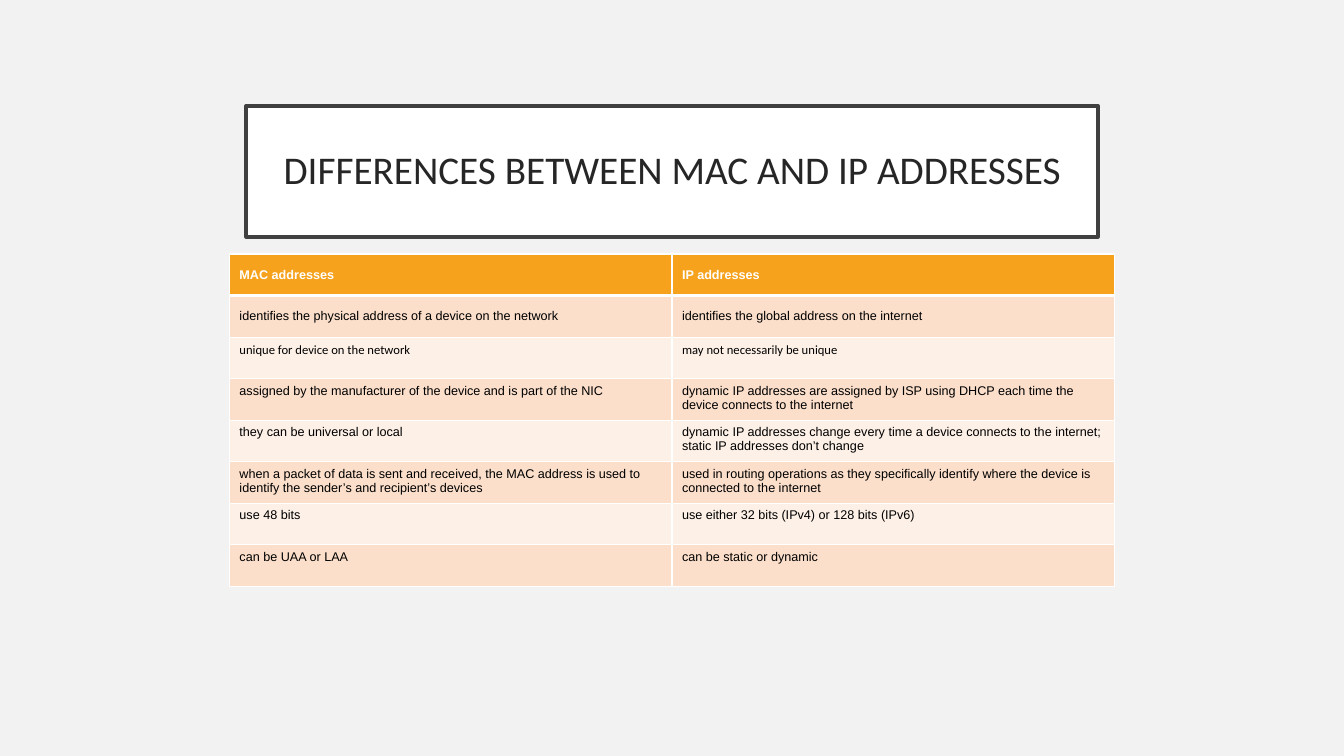
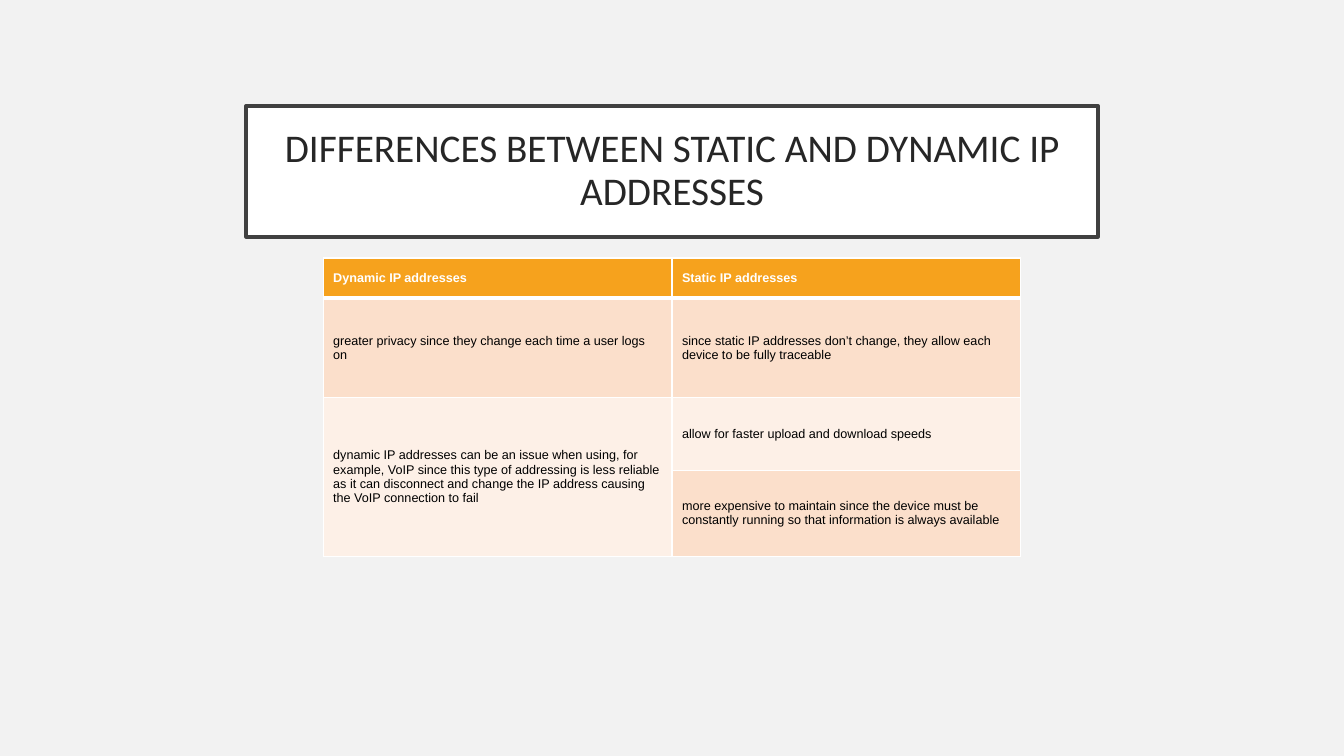
from dataclasses import dataclass

from lxml.etree import SubElement
from pptx import Presentation
from pptx.dml.color import RGBColor
from pptx.enum.text import MSO_ANCHOR, MSO_AUTO_SIZE, PP_ALIGN
from pptx.oxml.ns import qn
from pptx.util import Inches, Pt


@dataclass(frozen=True)
class Theme:
    width: float = 13.33
    height: float = 7.5
    background: str = "F2F2F2"
    white: str = "FFFFFF"
    frame: str = "404040"
    title_ink: str = "262626"
    body_ink: str = "000000"
    header: str = "F6A21D"
    bands: tuple = ("FBDFCB", "FDF0E7")
    title_font: str = "Calibri"
    body_font: str = "Arial"
    title_size: float = 28
    body_size: float = 9
    thin: float = 1
    thick: float = 3


THEME = Theme()

MAC_AND_IP = [
    ("MAC addresses", "IP addresses"),
    ("identifies the physical address of a device on the network",
     "identifies the global address on the internet"),
    ("unique for device on the network", "may not necessarily be unique"),
    ("assigned by the manufacturer of the device and is part of the NIC",
     "dynamic IP addresses are assigned by ISP using DHCP each time the "
     "device connects to the internet"),
    ("they can be universal or local",
     "dynamic IP addresses change every time a device connects to the internet; "
     "static IP addresses don’t change"),
    ("when a packet of data is sent and received, the MAC address is used to "
     "identify the sender’s and recipient’s devices",
     "used in routing operations as they specifically identify where the device is "
     "connected to the internet"),
    ("use 48 bits", "use either 32 bits (IPv4) or 128 bits (IPv6)"),
    ("can be UAA or LAA", "can be static or dynamic"),
]

# None continues the cell above it.
DYNAMIC_AND_STATIC = [
    ("Dynamic IP addresses", "Static IP addresses"),
    ("greater privacy since they change each time a user logs on",
     "since static IP addresses don’t change, they allow each device to be fully traceable"),
    ("dynamic IP addresses can be an issue when using, for example, VoIP since this "
     "type of addressing is less reliable as it can disconnect and change the IP "
     "address causing the VoIP connection to fail",
     "allow for faster upload and download speeds"),
    (None,
     "more expensive to maintain since the device must be constantly running so that "
     "information is always available"),
]


def rgb(color):
    return RGBColor.from_string(color)


def add_run(p, text, font, size, color, bold=False):
    r = p.add_run()
    r.text = text
    r.font.name = font
    r.font.size = Pt(size)
    r.font.bold = bold
    r.font.color.rgb = rgb(color)


def add_titled_slide(prs, title):
    s = prs.slides.add_slide(prs.slide_layouts.get_by_name("Title Only"))
    sp = s.shapes.title
    width = 8.45
    sp.left, sp.top = Inches((THEME.width - width) / 2), Inches(1.05)
    sp.width, sp.height = Inches(width), Inches(1.3)
    sp.fill.solid()
    sp.fill.fore_color.rgb = rgb(THEME.white)
    sp.line.color.rgb = rgb(THEME.frame)
    sp.line.width = Pt(2.5)
    tf = sp.text_frame
    tf.word_wrap = True
    tf.auto_size = MSO_AUTO_SIZE.NONE
    tf.vertical_anchor = MSO_ANCHOR.MIDDLE
    tf.margin_left = tf.margin_right = tf.margin_top = tf.margin_bottom = Inches(0.2)
    p = tf.paragraphs[0]
    p.alignment = PP_ALIGN.CENTER
    p.line_spacing = 0.9
    add_run(p, title, THEME.title_font, THEME.title_size, THEME.title_ink)
    return s


def set_borders(cell, row):
    """White rules, with a thicker one between the header and the body."""
    top = THEME.thick if row == 1 else THEME.thin
    bottom = THEME.thick if row == 0 else THEME.thin
    tc_pr = cell._tc.get_or_add_tcPr()
    for side, width in zip("LRTB", (THEME.thin, THEME.thin, top, bottom)):
        ln = SubElement(tc_pr, qn(f"a:ln{side}"), w=str(Pt(width)))
        fill = SubElement(ln, qn("a:solidFill"))
        SubElement(fill, qn("a:srgbClr"), val=THEME.white)


def format_cell(cell, row, text, font, anchor):
    set_borders(cell, row)
    header = row == 0
    cell.fill.solid()
    cell.fill.fore_color.rgb = rgb(THEME.header if header else THEME.bands[(row - 1) % 2])
    cell.vertical_anchor = anchor
    if text:
        add_run(cell.text_frame.paragraphs[0], text, font, THEME.body_size,
                THEME.white if header else THEME.body_ink, bold=header)


def add_comparison(s, rows, top, col_width, heights, middle_rows, row_fonts):
    """Centred table; rows from middle_rows on are anchored to the top."""
    cols = len(rows[0])
    width = cols * col_width
    frame = s.shapes.add_table(len(rows), cols, Inches((THEME.width - width) / 2),
                               Inches(top), Inches(width), Inches(sum(heights)))
    table = frame.table
    table.horz_banding = False
    for col in table.columns:
        col.width = Inches(col_width)
    for i, (texts, height) in enumerate(zip(rows, heights)):
        table.rows[i].height = Inches(height)
        anchor = MSO_ANCHOR.MIDDLE if i < middle_rows else MSO_ANCHOR.TOP
        for j, text in enumerate(texts):
            format_cell(table.cell(i, j), i, text,
                        row_fonts.get(i, THEME.body_font), anchor)
            if text is None:
                table.cell(i - 1, j).merge(table.cell(i, j))


def main():
    prs = Presentation()
    prs.slide_width, prs.slide_height = Inches(THEME.width), Inches(THEME.height)
    bg = prs.slide_master.background.fill
    bg.solid()
    bg.fore_color.rgb = rgb(THEME.background)

    s = add_titled_slide(prs, "DIFFERENCES BETWEEN MAC AND IP ADDRESSES")
    add_comparison(s, MAC_AND_IP, top=2.52, col_width=4.39,
                   heights=[3.3 / len(MAC_AND_IP)] * len(MAC_AND_IP),
                   middle_rows=2, row_fonts={2: THEME.title_font})

    s = add_titled_slide(prs, "DIFFERENCES BETWEEN STATIC AND DYNAMIC IP ADDRESSES")
    add_comparison(s, DYNAMIC_AND_STATIC, top=2.56, col_width=3.46,
                   heights=[0.4, 0.98, 0.73, 0.85],
                   middle_rows=len(DYNAMIC_AND_STATIC), row_fonts={})

    prs.save("out.pptx")


if __name__ == "__main__":
    main()
